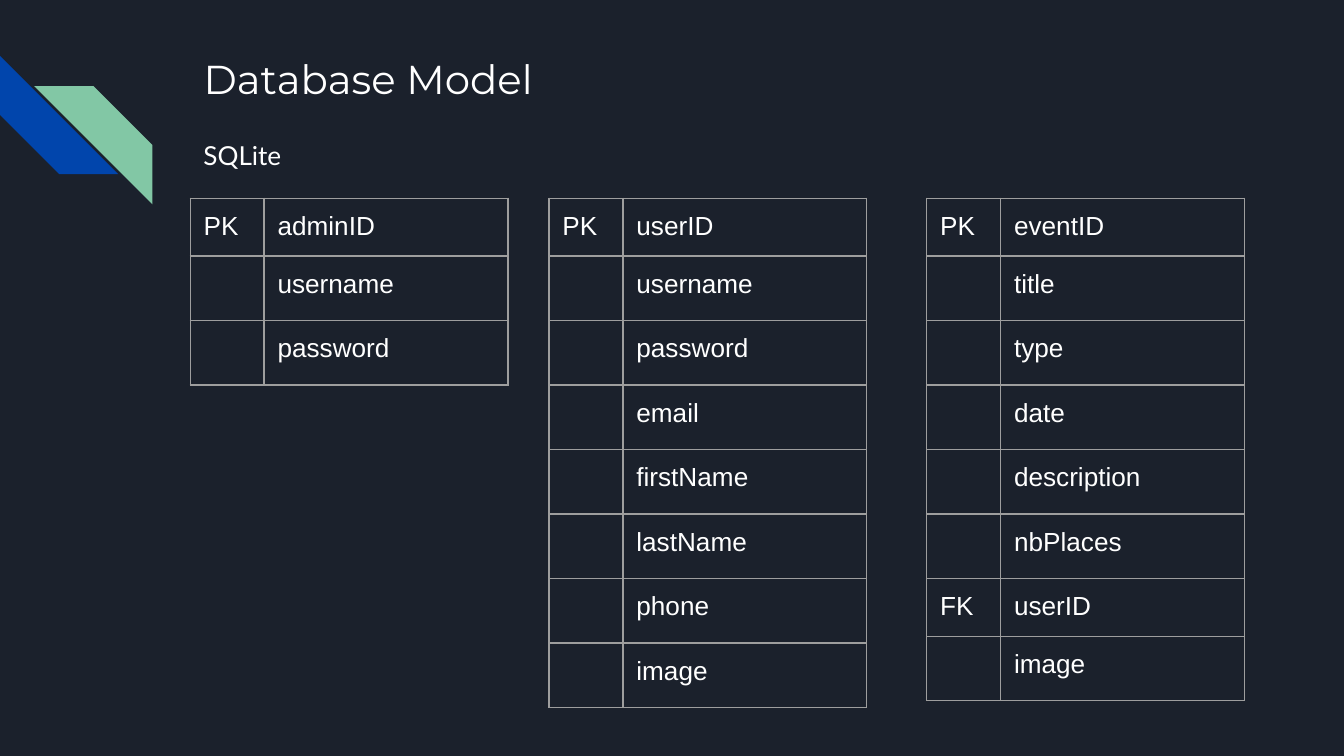
from dataclasses import dataclass

from lxml import etree
from pptx import Presentation
from pptx.dml.color import RGBColor
from pptx.enum.shapes import MSO_SHAPE
from pptx.enum.text import MSO_ANCHOR, MSO_AUTO_SIZE, PP_ALIGN
from pptx.oxml.ns import qn
from pptx.util import Emu, Pt

STRIPE = MSO_SHAPE.DIAGONAL_STRIPE
TOP = MSO_ANCHOR.TOP
LEFT = PP_ALIGN.LEFT
NO_FIT = MSO_AUTO_SIZE.NONE
TITLE_ONLY = 5

PX_PER_INCH = 200
SLIDE_SIZE = (2000, 1125)
INSET = 20
KEY_WIDTH, FIELD_WIDTH = 110, 363
KEYED_ROW, PLAIN_ROW = 86, 96
TABLE_TOP = 295


@dataclass(frozen=True)
class Theme:
    background: str = "1B212C"
    text: str = "FFFFFF"
    border: str = "9E9E9E"
    blue: str = "0145AC"
    green: str = "82C7A5"
    title_font: str = "Montserrat"
    subtitle_font: str = "Lato"
    table_font: str = "Arial"
    title_size: float = 21.6
    body_size: float = 14
    border_width: float = 0.75


THEME = Theme()

ENTITIES = [
    (283, ["adminID", "username", "password"], {"adminID": "PK"}),
    (817, ["userID", "username", "password", "email", "firstName",
           "lastName", "phone", "image"], {"userID": "PK"}),
    (1379, ["eventID", "title", "type", "date", "description",
            "nbPlaces", "userID", "image"], {"eventID": "PK", "userID": "FK"}),
]


def px(length):
    return Emu(length * 914400 // PX_PER_INCH)


def color(value):
    return RGBColor.from_string(value)


def style_paragraph(paragraph, font_name, size):
    paragraph.alignment = LEFT
    paragraph.font.name = font_name
    paragraph.font.size = Pt(size)
    paragraph.font.color.rgb = color(THEME.text)


def set_insets(target):
    target.margin_left = target.margin_right = px(INSET)
    target.margin_top = target.margin_bottom = px(INSET)


def fill_text_box(shape, text, font_name, size):
    frame = shape.text_frame
    frame.text = text
    frame.word_wrap = True
    frame.auto_size = NO_FIT
    frame.vertical_anchor = TOP
    set_insets(frame)
    style_paragraph(frame.paragraphs[0], font_name, size)


def add_heading(slide, left, top, width):
    title = slide.shapes.title
    title.left, title.top = px(left), px(top)
    title.width, title.height = px(width), px(110)
    fill_text_box(title, "Database Model", THEME.title_font, THEME.title_size)
    subtitle = slide.shapes.add_textbox(px(left), px(top + 128), px(892), px(88))
    fill_text_box(subtitle, "SQLite", THEME.subtitle_font, THEME.body_size)


def add_stripe(slide, left, top, size, fill):
    stripe = slide.shapes.add_shape(STRIPE, px(left), px(top), px(size), px(size))
    stripe.shadow.inherit = False
    stripe.fill.solid()
    stripe.fill.fore_color.rgb = color(fill)
    stripe.line.fill.background()
    return stripe


def add_stripes(slide, left, top, size):
    blue = add_stripe(slide, left, top, size, THEME.blue)
    blue.rotation = 270
    green = add_stripe(slide, left + 51, top + 45, size, THEME.green)
    green._element.spPr.find(qn("a:xfrm")).set("flipH", "1")


def add_borders(cell):
    properties = cell._tc.get_or_add_tcPr()
    for side in ("a:lnL", "a:lnR", "a:lnT", "a:lnB"):
        line = etree.SubElement(properties, qn(side), w=str(Pt(THEME.border_width)))
        fill = etree.SubElement(line, qn("a:solidFill"))
        etree.SubElement(fill, qn("a:srgbClr"), val=THEME.border)


def fill_cell(cell, text):
    add_borders(cell)
    cell.fill.background()
    cell.vertical_anchor = TOP
    if text:
        set_insets(cell)
        cell.text = text
    else:
        cell.margin_top = cell.margin_bottom = 0
    style_paragraph(cell.text_frame.paragraphs[0], THEME.table_font, THEME.body_size)


def add_entity(slide, left, top, fields, keys):
    heights = [KEYED_ROW if field in keys else PLAIN_ROW for field in fields]
    frame = slide.shapes.add_table(
        len(fields), 2, px(left), px(top),
        px(KEY_WIDTH + FIELD_WIDTH), px(sum(heights)))
    table = frame.table
    table.first_row = False
    table.horz_banding = False
    for column, width in zip(table.columns, (KEY_WIDTH, FIELD_WIDTH)):
        column.width = px(width)
    for row, height, field in zip(table.rows, heights, fields):
        row.height = px(height)
        for cell, text in zip(row.cells, (keys.get(field, ""), field)):
            fill_cell(cell, text)


def build_database_slide(presentation):
    slide = presentation.slides.add_slide(presentation.slide_layouts[TITLE_ONLY])
    slide.background.fill.solid()
    slide.background.fill.fore_color.rgb = color(THEME.background)
    add_stripes(slide, 0, 83, 176)
    add_heading(slide, 283, 60, 1540)
    for left, fields, keys in ENTITIES:
        add_entity(slide, left, TABLE_TOP, fields, keys)


def main():
    presentation = Presentation()
    presentation.slide_width, presentation.slide_height = map(px, SLIDE_SIZE)
    build_database_slide(presentation)
    presentation.save("out.pptx")


if __name__ == "__main__":
    main()
